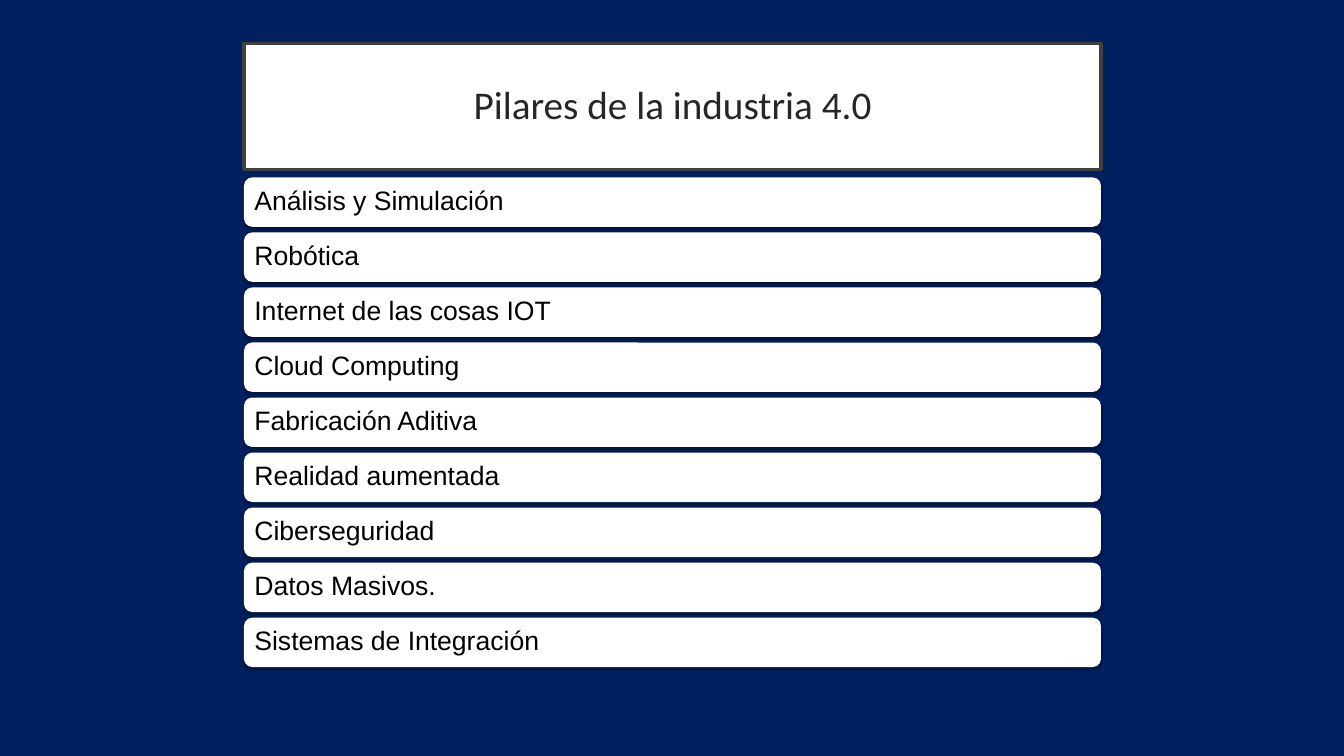
from lxml import etree
from pptx import Presentation
from pptx.dml.color import RGBColor
from pptx.enum.shapes import MSO_SHAPE
from pptx.enum.text import MSO_ANCHOR, PP_ALIGN
from pptx.oxml.ns import qn
from pptx.util import Inches, Pt

# Content
TITLE = "Pilares de la industria 4.0"
PILLARS = [
    "Análisis y Simulación",
    "Robótica",
    "Internet de las cosas IOT",
    "Cloud Computing",
    "Fabricación Aditiva",
    "Realidad aumentada",
    "Ciberseguridad",
    "Datos Masivos.",
    "Sistemas de Integración",
]

# Layout in inches
LEFT, WIDTH = 2.42, 8.5
TITLE_TOP, TITLE_HEIGHT = 0.43, 1.25
BARS_TOP, BAR_HEIGHT, BAR_STEP = 1.76, 0.49, 0.546


def paint(fill, color):
    fill.solid()
    fill.fore_color.rgb = RGBColor.from_string(color)


def write(shape, text, font_name, size, color, inset, alignment):
    frame = shape.text_frame
    frame.text = text
    frame.word_wrap = True
    frame.vertical_anchor = MSO_ANCHOR.MIDDLE
    frame.margin_left = frame.margin_right = Inches(inset)
    frame.margin_top = frame.margin_bottom = Inches(inset)
    paragraph = frame.paragraphs[0]
    paragraph.alignment = alignment
    paragraph.line_spacing = 0.9
    font = paragraph.runs[0].font
    font.name, font.size = font_name, Pt(size)
    paint(font.fill, color)


def add_soft_shadow(shape):
    shape.shadow.inherit = False
    effects = shape._element.spPr.find(qn("a:effectLst"))
    shadow = etree.SubElement(
        effects, qn("a:outerShdw"), blurRad=str(Pt(3.1)), dist=str(Pt(1.6)),
        dir="5400000", algn="ctr", rotWithShape="0")
    color = etree.SubElement(shadow, qn("a:srgbClr"), val="000000")
    etree.SubElement(color, qn("a:alpha"), val="38000")


presentation = Presentation()
presentation.slide_width = Inches(13.33)
presentation.slide_height = Inches(7.5)
slide = presentation.slides.add_slide(presentation.slide_layouts[5])
paint(slide.background.fill, "002060")

# Title box
title = slide.shapes.title
title.left, title.top = Inches(LEFT), Inches(TITLE_TOP)
title.width, title.height = Inches(WIDTH), Inches(TITLE_HEIGHT)
paint(title.fill, "FFFFFF")
paint(title.line.fill, "404040")
title.line.width = Pt(2.5)
write(title, TITLE, "Calibri", 28, "262626", 0.2, PP_ALIGN.CENTER)

# One bar per pillar
for index, pillar in enumerate(PILLARS):
    bar = slide.shapes.add_shape(
        MSO_SHAPE.ROUNDED_RECTANGLE, Inches(LEFT),
        Inches(BARS_TOP + index * BAR_STEP), Inches(WIDTH), Inches(BAR_HEIGHT))
    paint(bar.fill, "FFFFFF")
    bar.line.fill.background()
    add_soft_shadow(bar)
    write(bar, pillar, "Arial", 19, "000000", 0.08, PP_ALIGN.LEFT)

presentation.save("out.pptx")
